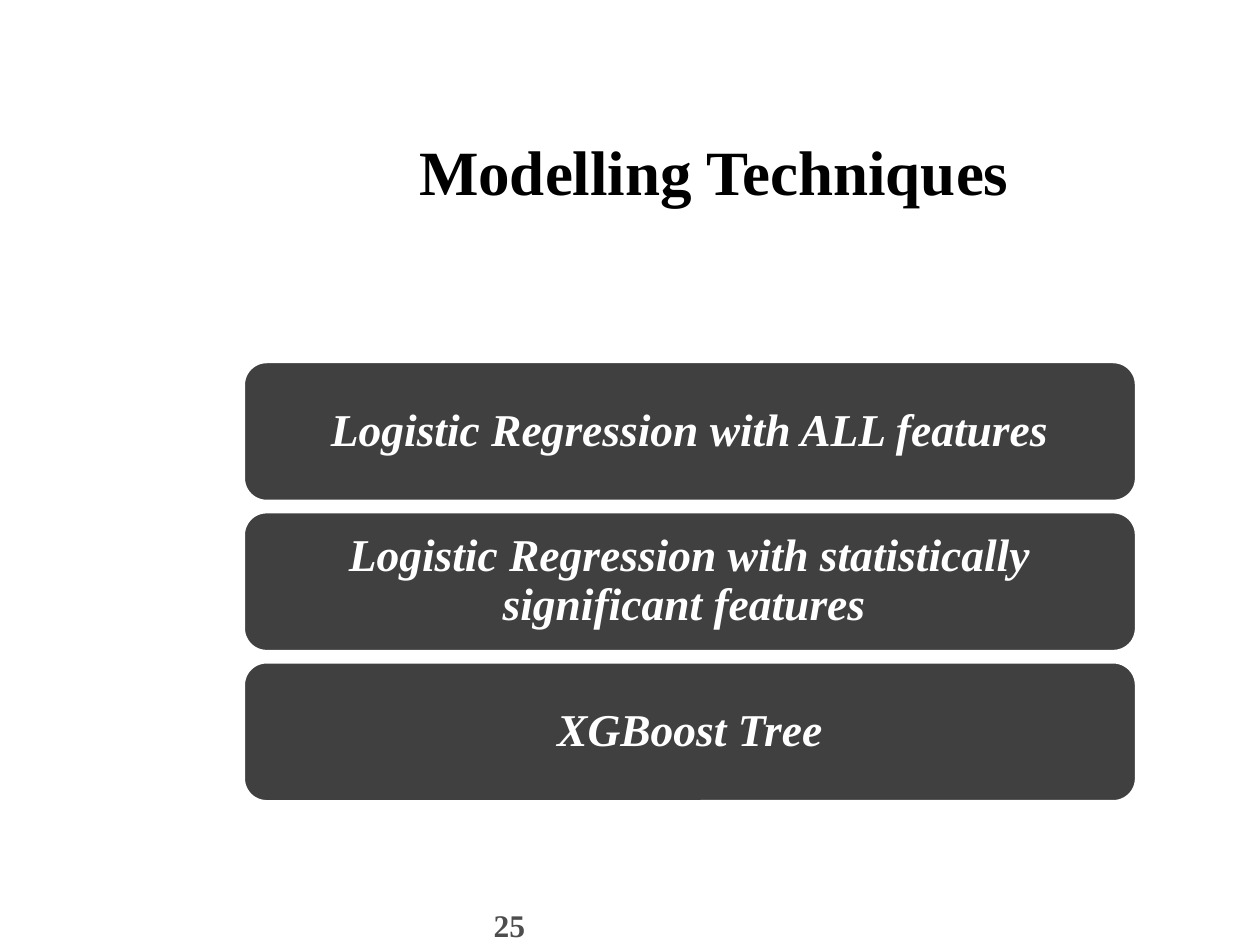
from dataclasses import dataclass

from pptx import Presentation
from pptx.dml.color import RGBColor
from pptx.enum.shapes import MSO_SHAPE as Shape
from pptx.enum.text import MSO_ANCHOR as Anchor, PP_ALIGN as Align
from pptx.util import Pt


@dataclass(frozen=True)
class Theme:
    font: str = "Times New Roman"
    ink: RGBColor = RGBColor(0, 0, 0)
    paper: RGBColor = RGBColor(255, 255, 255)
    card: RGBColor = RGBColor(0x40, 0x40, 0x40)
    muted: RGBColor = RGBColor(0x4D, 0x4D, 0x4D)
    title_size: int = 36
    card_size: int = 26
    number_size: int = 18


theme = Theme()


def write(box, text, *, size, color, align=Align.LEFT, anchor=Anchor.TOP,
          italic=False, spacing=1.0, inset_x=7.2, inset_y=3.6):
    """Fill a shape's frame with one bold paragraph; insets are in points."""
    frame = box.text_frame
    frame.word_wrap = True
    frame.vertical_anchor = anchor
    frame.margin_left = frame.margin_right = Pt(inset_x)
    frame.margin_top = frame.margin_bottom = Pt(inset_y)
    para = frame.paragraphs[0]
    para.alignment = align
    para.line_spacing = spacing
    span = para.add_run()
    span.text = text
    font = span.font
    font.name, font.size, font.bold, font.italic = theme.font, Pt(size), True, italic
    font.color.rgb = color


deck = Presentation()
deck.slide_width, deck.slide_height = Pt(720), Pt(540)
page = deck.slides.add_slide(deck.slide_layouts[6])

title = page.shapes.add_textbox(Pt(8.64), Pt(77), Pt(584), Pt(40.3))
write(title, "Modelling Techniques ", size=theme.title_size, color=theme.ink,
      align=Align.RIGHT, anchor=Anchor.MIDDLE)

techniques = [
    "Logistic Regression with ALL features",
    "Logistic Regression with statistically significant features ",
    "XGBoost Tree",
]
card_left, card_top, card_width, card_height, card_gap = 139, 206.6, 510.5, 80, 5.8
for index, technique in enumerate(techniques):
    top = card_top + index * (card_height + card_gap)
    card = page.shapes.add_shape(Shape.ROUNDED_RECTANGLE, Pt(card_left), Pt(top),
                                 Pt(card_width), Pt(card_height))
    card.shadow.inherit = False
    card.fill.solid()
    card.fill.fore_color.rgb = theme.card
    card.line.color.rgb = theme.paper
    card.line.width = Pt(2)
    write(card, technique, size=theme.card_size, color=theme.paper, italic=True,
          align=Align.CENTER, anchor=Anchor.MIDDLE, spacing=0.9, inset_x=12, inset_y=8)

page_number = page.shapes.add_textbox(Pt(275), Pt(514), Pt(45.4), Pt(28.8))
write(page_number, "25", size=theme.number_size, color=theme.muted)

deck.save("out.pptx")
